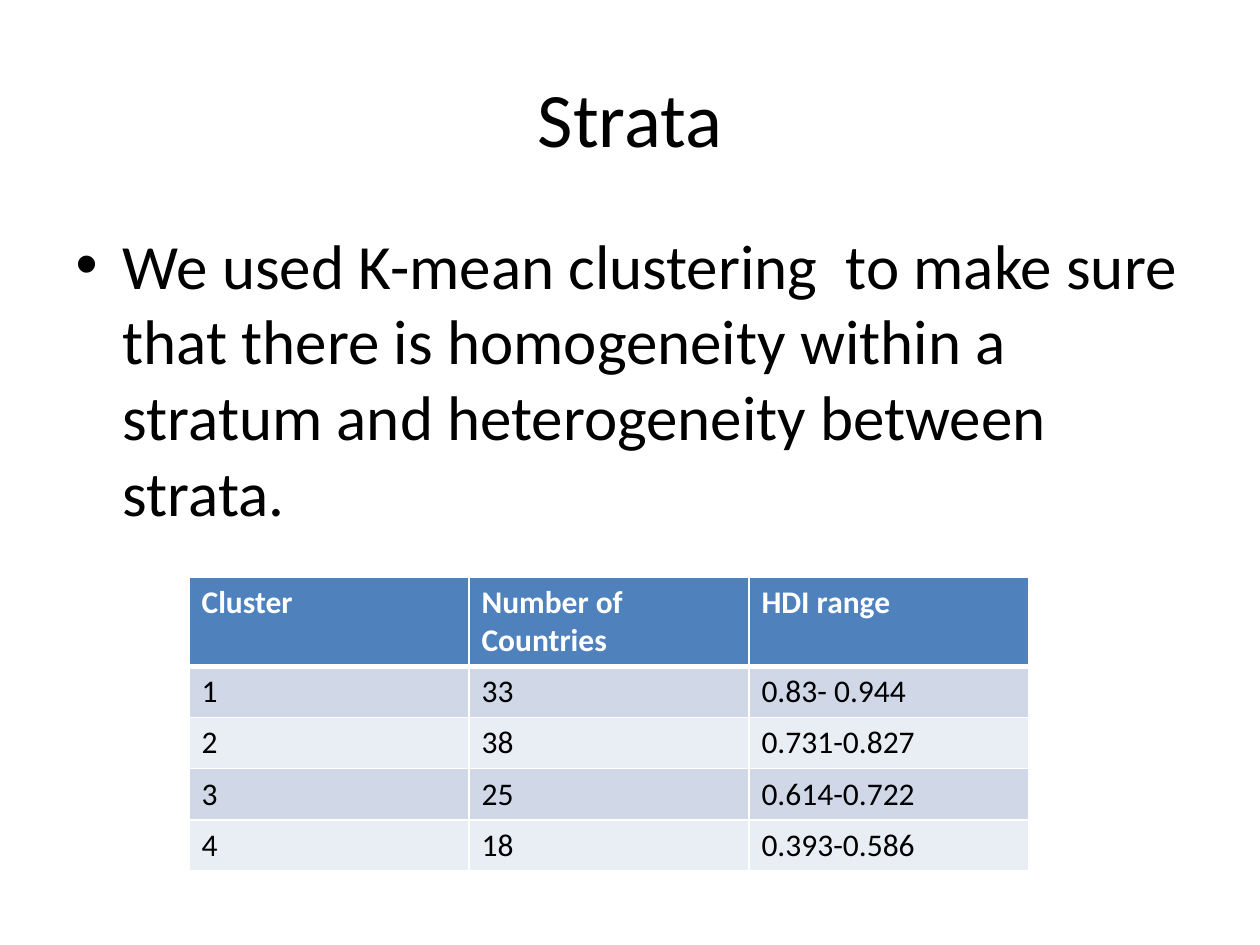
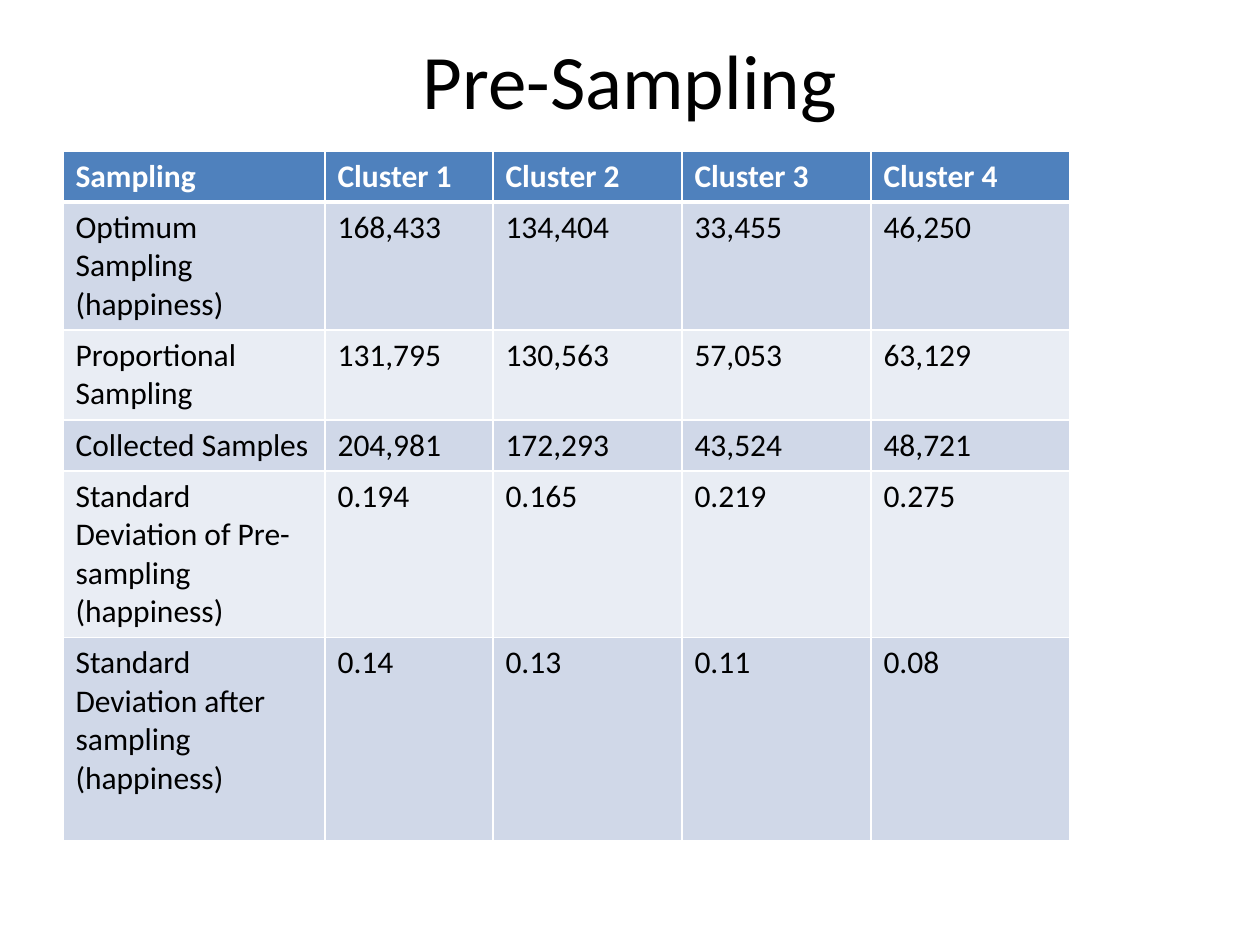
from lxml import etree
from pptx import Presentation, util as u
from pptx.dml.color import RGBColor
from pptx.enum import text
from pptx.oxml.ns import qn

HUES = {"ink": "000000", "white": "FFFFFF", "head": "4F81BD",
        "odd": "D0D8E8", "even": "E9EDF4"}
FONT = "Calibri"
SCALE = 914400 / 126


def px(n):
    return u.Emu(round(n * SCALE))


def style(par, size, hue, bold=False):
    look = {"name": FONT, "size": u.Pt(size), "bold": bold}
    for key, val in look.items():
        setattr(par.font, key, val)
    par.font.color.rgb = RGBColor.from_string(HUES[hue])


# Content of each slide
pages = [
    {"title": "Strata", "top": 38, "layout": 1,
     "body": "We used K-mean clustering  to make sure that there is "
             "homogeneity within a stratum and heterogeneity between strata.",
     "at": (189, 577), "cols": [280] * 3, "rows": [89] + [51] * 4,
     "cells": [
         ["Cluster", "Number of Countries", "HDI range"],
         ["1", "33", "0.83- 0.944"],
         ["2", "38", "0.731-0.827"],
         ["3", "25", "0.614-0.722"],
         ["4", "18", "0.393-0.586"]]},
    {"title": "Pre-Sampling", "top": 0, "layout": 5, "body": None,
     "at": (63, 151), "cols": [262, 168, 189, 189, 199],
     "rows": [51, 128, 90, 51, 166, 203],
     "cells": [
         ["Sampling", "Cluster 1", "Cluster 2", "Cluster 3", "Cluster 4"],
         ["Optimum Sampling (happiness)",
          "168,433", "134,404", "33,455", "46,250"],
         ["Proportional Sampling", "131,795", "130,563", "57,053", "63,129"],
         ["Collected Samples", "204,981", "172,293", "43,524", "48,721"],
         ["Standard Deviation of Pre-sampling (happiness)",
          "0.194", "0.165", "0.219", "0.275"],
         ["Standard Deviation after sampling (happiness)",
          "0.14", "0.13", "0.11", "0.08"]]},
]

deck = Presentation()
deck.slide_width, deck.slide_height = px(1260), px(945)

for page in pages:
    slide = deck.slides.add_slide(deck.slide_layouts[page["layout"]])

    # Title
    title = slide.shapes.title
    title.left, title.top, title.width, title.height = map(
        px, (63, page["top"], 1134, 158))
    title.text_frame.text = page["title"]
    title.text_frame.vertical_anchor = text.MSO_ANCHOR.MIDDLE
    par = title.text_frame.paragraphs[0]
    par.alignment = text.PP_ALIGN.CENTER
    style(par, 44, "ink")

    # Bulleted body
    if page["body"]:
        body = slide.placeholders[1]
        body.left, body.top, body.width, body.height = map(
            px, (63, 220, 1134, 624))
        body.text_frame.text = page["body"]
        par = body.text_frame.paragraphs[0]
        par.space_before = u.Pt(0)
        style(par, 36, "ink")

    # Table frame
    cols, rows = page["cols"], page["rows"]
    spot = (*page["at"], sum(cols), sum(rows))
    grid = slide.shapes.add_table(len(rows), len(cols), *map(px, spot)).table
    for col, wide in zip(grid.columns, cols):
        col.width = px(wide)
    for row, high in zip(grid.rows, rows):
        row.height = px(high)

    # Cells: header, then alternating bands
    for r, line in enumerate(page["cells"]):
        band = "head" if r == 0 else "odd" if r % 2 else "even"
        for c, word in enumerate(line):
            cell = grid.cell(r, c)
            cell.text = word
            style(cell.text_frame.paragraphs[0], 18,
                  "ink" if r else "white", r == 0)
            cell.fill.solid()
            cell.fill.fore_color.rgb = RGBColor.from_string(HUES[band])

            # White rules, thick under the header
            edges = {"lnL": 1, "lnR": 1, "lnT": 3 if r == 1 else 1,
                     "lnB": 3 if r == 0 else 1}
            props = cell._tc.get_or_add_tcPr()
            for i, (edge, wide) in enumerate(edges.items()):
                rule = etree.Element(qn("a:" + edge), w=str(u.Pt(wide)))
                paint = etree.SubElement(rule, qn("a:solidFill"))
                etree.SubElement(paint, qn("a:srgbClr"), val=HUES["white"])
                props.insert(i, rule)

deck.save("out.pptx")
